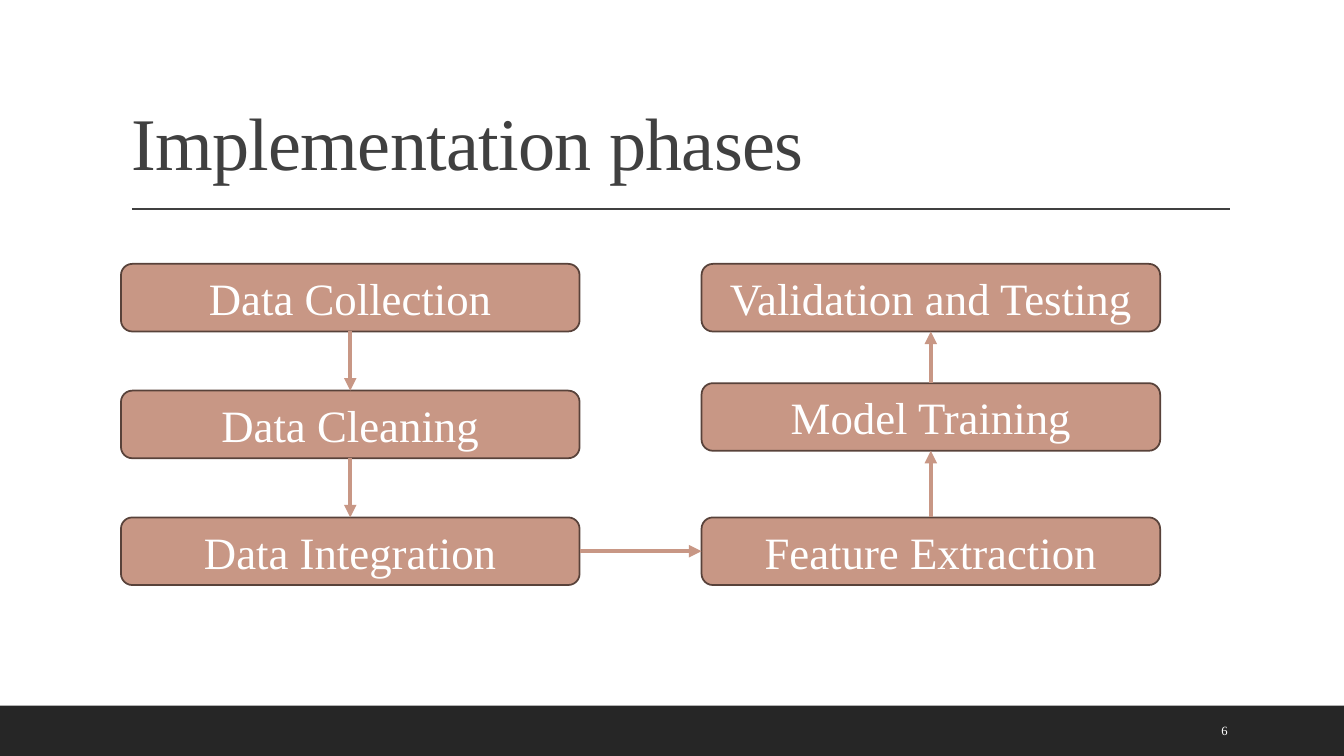
from pptx import Presentation
from pptx.dml.color import RGBColor
from pptx.enum.shapes import MSO_CONNECTOR, MSO_SHAPE
from pptx.enum.text import MSO_ANCHOR, MSO_AUTO_SIZE, PP_ALIGN
from pptx.oxml.ns import qn
from pptx.util import Pt
from lxml import etree

STRAIGHT = MSO_CONNECTOR.STRAIGHT
RECTANGLE, ROUNDED = MSO_SHAPE.RECTANGLE, MSO_SHAPE.ROUNDED_RECTANGLE
MIDDLE, BOTTOM = MSO_ANCHOR.MIDDLE, MSO_ANCHOR.BOTTOM
LEFT, CENTER = PP_ALIGN.LEFT, PP_ALIGN.CENTER
NO_AUTOFIT = MSO_AUTO_SIZE.NONE

FONT = "Times New Roman"
WHITE = RGBColor(0xFF, 0xFF, 0xFF)
INK = RGBColor(0x40, 0x40, 0x40)
FOOTER = RGBColor(0x26, 0x26, 0x26)
CLAY = RGBColor(0xC8, 0x97, 0x85)
BROWN = RGBColor(0x58, 0x42, 0x3A)

SLIDE_W, SLIDE_H = 960, 540
FOOTER_H = 36
PHASE_W, PHASE_H = 327.6, 48.3
LEFT_X, RIGHT_X = 86.4, 501.1
TOP_Y, BOTTOM_Y = 188.5, 369.6
CLEANING_Y, TRAINING_Y = (TOP_Y + BOTTOM_Y) / 2, 273.7

# Connection sites of a rectangle
TOP, LEFT_SIDE, BASE, RIGHT_SIDE = range(4)

# Phases in working order: name, left, top
PHASES = [
    ("Data Collection", LEFT_X, TOP_Y),
    ("Data Cleaning", LEFT_X, CLEANING_Y),
    ("Data Integration", LEFT_X, BOTTOM_Y),
    ("Feature Extraction", RIGHT_X, BOTTOM_Y),
    ("Model Training", RIGHT_X, TRAINING_Y),
    ("Validation and Testing", RIGHT_X, TOP_Y),
]
# Sites joined by each arrow from one phase to the next
STEPS = [(BASE, TOP), (BASE, TOP), (RIGHT_SIDE, LEFT_SIDE), (TOP, BASE), (TOP, BASE)]


def write(frame, text, size, color=WHITE, align=LEFT, anchor=MIDDLE,
          line_spacing=None, tracking=None):
    frame.word_wrap = True
    frame.auto_size = NO_AUTOFIT
    frame.vertical_anchor = anchor
    paragraph = frame.paragraphs[0]
    paragraph.alignment = align
    paragraph.line_spacing = line_spacing
    run = paragraph.add_run()
    run.text = text
    run.font.size = Pt(size)
    run.font.name = FONT
    run.font.color.rgb = color
    if tracking is not None:
        run.font._element.set("spc", str(round(tracking * 100)))


def add_box(slide, preset, left, top, width, height, fill, outline=None):
    box = slide.shapes.add_shape(preset, Pt(left), Pt(top), Pt(width), Pt(height))
    box.shadow.inherit = False
    box.fill.solid()
    box.fill.fore_color.rgb = fill
    if outline is None:
        box.line.fill.background()
    else:
        box.line.color.rgb = outline
        box.line.width = Pt(1.25)
    return box


def add_line(slide, start, end, color, width):
    line = slide.shapes.add_connector(STRAIGHT, *(Pt(v) for v in (*start, *end)))
    line.line.color.rgb = color
    line.line.width = Pt(width)
    etree.SubElement(line._element.spPr, qn("a:effectLst"))
    return line


def add_arrow(slide, source, source_site, target, target_site):
    arrow = add_line(slide, (0, 0), (0, 0), CLAY, 3)
    arrow.begin_connect(source, source_site)
    arrow.end_connect(target, target_site)
    etree.SubElement(arrow.line._get_or_add_ln(), qn("a:tailEnd"), type="triangle")


def add_title(slide, text):
    title = slide.shapes.title
    title.left, title.top, title.width, title.height = (
        Pt(v) for v in (86.4, 22.3, 792, 114.5))
    write(title.text_frame, text, 53, color=INK, anchor=BOTTOM,
          line_spacing=0.9, tracking=-0.5)


def add_page_number(slide, number):
    box = slide.shapes.add_textbox(Pt(865.4), Pt(507.6), Pt(61.2), Pt(28.8))
    write(box.text_frame, number, 9)


def add_phase(slide, name, left, top):
    phase = add_box(slide, ROUNDED, left, top, PHASE_W, PHASE_H, CLAY, BROWN)
    write(phase.text_frame, name, 32, align=CENTER)
    return phase


def main():
    prs = Presentation()
    prs.slide_width, prs.slide_height = Pt(SLIDE_W), Pt(SLIDE_H)
    slide = prs.slides.add_slide(prs.slide_layouts[5])

    # Footer band, title and rule
    add_box(slide, RECTANGLE, 0, SLIDE_H - FOOTER_H, SLIDE_W, FOOTER_H, FOOTER)
    add_line(slide, (94.3, 149.4), (878.8, 149.4), INK, 1)
    add_title(slide, "Implementation phases")
    add_page_number(slide, "6")

    # Phases and the arrows between them
    phases = [add_phase(slide, *phase) for phase in PHASES]
    for source, target, (leave, enter) in zip(phases, phases[1:], STEPS):
        add_arrow(slide, source, leave, target, enter)

    prs.save("out.pptx")


if __name__ == "__main__":
    main()
